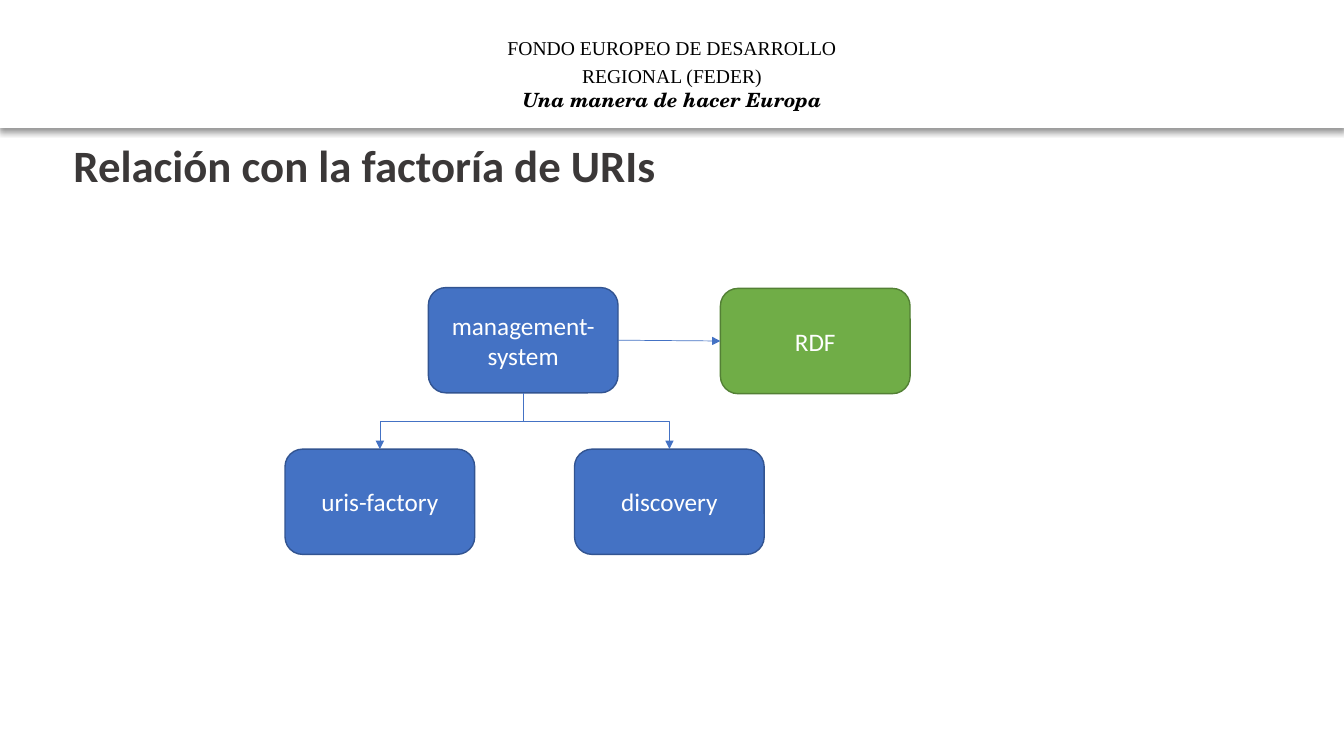
from lxml import etree
from pptx import Presentation
from pptx.dml.color import RGBColor
from pptx.enum.shapes import MSO_CONNECTOR, MSO_SHAPE
from pptx.enum.text import MSO_ANCHOR, PP_ALIGN
from pptx.oxml import parse_xml
from pptx.oxml.ns import nsdecls, qn
from pptx.util import Pt

SLIDE_W, SLIDE_H = 960, 540
NODE_W, NODE_H = 135.5, 75.2
BLUE, BLUE_EDGE = "4472C4", "325491"
GREEN, GREEN_EDGE = "70AD47", "538035"


def color(value):
    return RGBColor.from_string(value)


def add_run(p, text, size, font, fill, bold=False, italic=False):
    r = p.add_run()
    r.text = text
    r.font.size = Pt(size)
    r.font.name = font
    r.font.bold = bold
    r.font.italic = italic
    r.font.color.rgb = color(fill)


def add_box(slide, kind, x, y, w, h, fill, edge):
    sp = slide.shapes.add_shape(kind, Pt(x), Pt(y), Pt(w), Pt(h))
    sp.shadow.inherit = False
    sp.fill.solid()
    sp.fill.fore_color.rgb = color(fill)
    sp.line.color.rgb = color(edge)
    sp.line.width = Pt(1)
    return sp


def add_text_frame(slide, x, y, w, h):
    tf = slide.shapes.add_textbox(Pt(x), Pt(y), Pt(w), Pt(h)).text_frame
    tf.word_wrap = True
    return tf


def add_header(slide, x, y, w, h):
    band = add_box(slide, MSO_SHAPE.RECTANGLE, x, y, w, h, "FFFFFF", "FFFFFF")
    effects = band._element.spPr.find(qn("a:effectLst"))
    effects.append(parse_xml(
        f'<a:outerShdw {nsdecls("a")} blurRad="{Pt(4)}" dist="{Pt(3)}" dir="5400000" '
        'algn="t" rotWithShape="0"><a:srgbClr val="000000"><a:alpha val="40000"/>'
        '</a:srgbClr></a:outerShdw>'))

    text_w = 318.2
    tf = add_text_frame(slide, x + (w - text_w) / 2, y + 18.7, text_w, 65)
    p = tf.paragraphs[0]
    p.alignment = PP_ALIGN.CENTER
    p.line_spacing = 1.2
    add_run(p, "FONDO EUROPEO DE DESARROLLO REGIONAL (FEDER)", 14, "Times New Roman", "000000")
    p = tf.add_paragraph()
    p.alignment = PP_ALIGN.CENTER
    add_run(p, "Una manera de hacer Europa", 14, "TeX Gyre Schola", "000000", True, True)


def add_title(slide, x, y, w, h):
    p = add_text_frame(slide, x, y, w, h).paragraphs[0]
    p.line_spacing = 0.9
    add_run(p, "Relación con la factoría de URIs", 32, "Calibri", "3B3838", bold=True)


def add_node(slide, x, y, label, fill=BLUE, edge=BLUE_EDGE):
    sp = add_box(slide, MSO_SHAPE.ROUNDED_RECTANGLE, x, y, NODE_W, NODE_H, fill, edge)
    tf = sp.text_frame
    tf.word_wrap = True
    tf.vertical_anchor = MSO_ANCHOR.MIDDLE
    p = tf.paragraphs[0]
    p.alignment = PP_ALIGN.CENTER
    add_run(p, label, 18, "Calibri", "FFFFFF")
    return sp


def add_arrow(slide, kind, x1, y1, x2, y2):
    cxn = slide.shapes.add_connector(kind, int(x1), int(y1), int(x2), int(y2))
    cxn.line.color.rgb = color(BLUE)
    cxn.line.width = Pt(0.5)
    etree.SubElement(cxn.line._get_or_add_ln(), qn("a:tailEnd"), type="triangle")
    etree.SubElement(cxn._element.spPr, qn("a:effectLst"))
    return cxn


def add_branch(slide, parent, child):
    x1, y1 = parent.left + parent.width / 2, parent.top + parent.height
    x2, y2 = child.left + child.width / 2, child.top
    mid_x, mid_y = (x1 + x2) / 2, (y1 + y2) / 2
    half_span = abs(x2 - x1) / 2
    side = 1 if x2 < x1 else -1
    half_drop = side * (y2 - y1) / 2
    cxn = add_arrow(slide, MSO_CONNECTOR.ELBOW, mid_x - half_drop, mid_y - half_span,
                    mid_x + half_drop, mid_y + half_span)
    quarter_turns = 1 if side == 1 else 3
    cxn._element.spPr.find(qn("a:xfrm")).set("rot", str(quarter_turns * 5400000))


def add_diagram(slide, x, y):
    system = add_node(slide, x + 102.4, y, "management-system")
    rdf = add_node(slide, x + 311, y + 0.6, "RDF", GREEN, GREEN_EDGE)
    link = add_arrow(slide, MSO_CONNECTOR.STRAIGHT, 0, 0, 0, 0)
    link.begin_connect(system, 3)
    link.end_connect(rdf, 1)
    for dx, label in ((0, "uris-factory"), (206.8, "discovery")):
        add_branch(slide, system, add_node(slide, x + dx, y + 115.4, label))


def main():
    prs = Presentation()
    prs.slide_width, prs.slide_height = Pt(SLIDE_W), Pt(SLIDE_H)
    slide = prs.slides.add_slide(prs.slide_layouts[6])
    add_header(slide, 0, 0, SLIDE_W, 91)
    add_title(slide, 45.4, 99.4, 867.6, 378.7)
    add_diagram(slide, 203.6, 205.4)
    prs.save("out.pptx")


if __name__ == "__main__":
    main()
